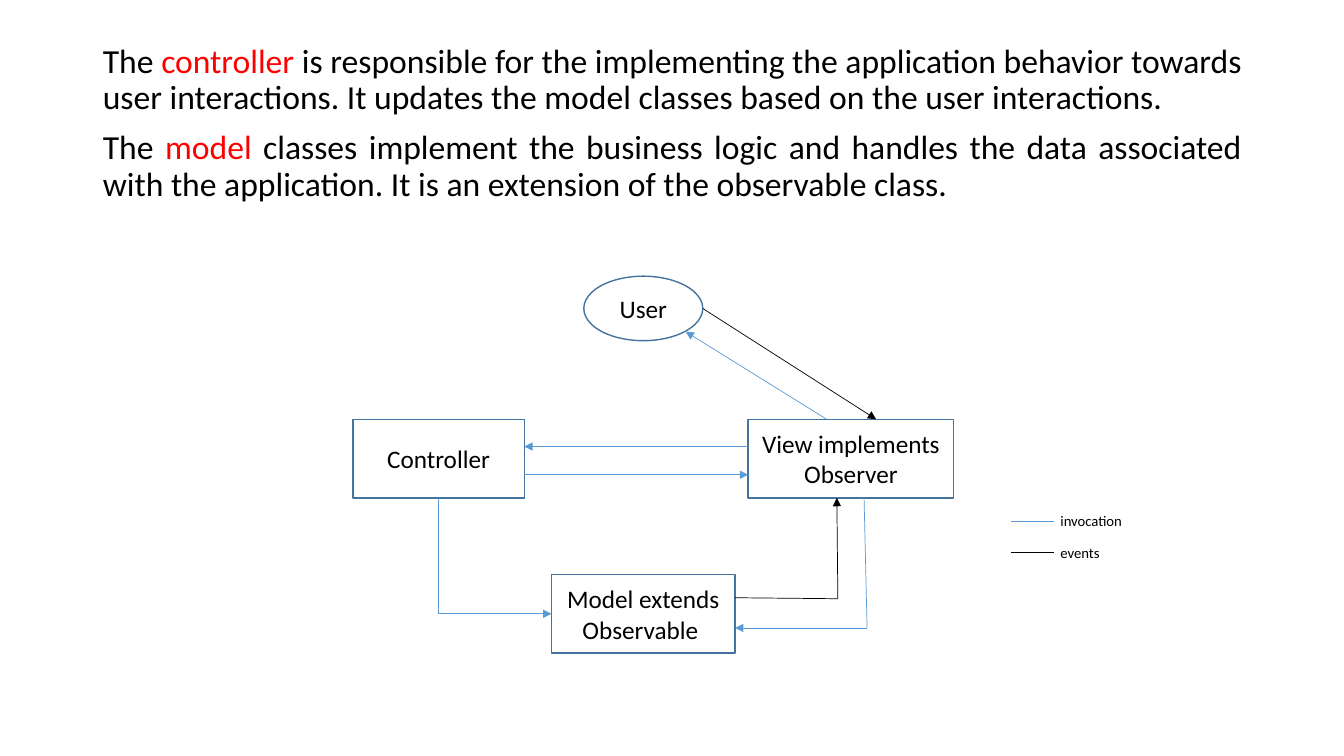
from lxml import etree
from pptx import Presentation
from pptx.dml.color import RGBColor
from pptx.enum.shapes import MSO_CONNECTOR, MSO_SHAPE
from pptx.enum.text import MSO_ANCHOR, MSO_AUTO_SIZE, PP_ALIGN
from pptx.oxml.ns import qn
from pptx.util import Inches, Pt

FONT = "Calibri"
BLACK = RGBColor(0x00, 0x00, 0x00)
RED = RGBColor(0xFF, 0x00, 0x00)
OUTLINE = RGBColor(0x43, 0x73, 0x9E)
INVOCATION = RGBColor(0x5B, 0x9B, 0xD5)
EVENT = BLACK

RECT, ELLIPSE = MSO_SHAPE.RECTANGLE, MSO_SHAPE.OVAL
STRAIGHT = MSO_CONNECTOR.STRAIGHT
MIDDLE, TOP = MSO_ANCHOR.MIDDLE, MSO_ANCHOR.TOP
LEFT, CENTER, JUSTIFY = PP_ALIGN.LEFT, PP_ALIGN.CENTER, PP_ALIGN.JUSTIFY
NO_AUTOFIT = MSO_AUTO_SIZE.NONE

EXPLANATION = [
    [("The ", BLACK), ("controller", RED),
     (" is responsible for the implementing the application behavior towards "
      "user interactions. It updates the model classes based on the user "
      "interactions.", BLACK)],
    [("The ", BLACK), ("model", RED),
     (" classes implement the business logic and handles the data associated "
      "with the application. It is an extension of the observable class.", BLACK)],
]

# Text, preset, left, top, width, height
COMPONENTS = [
    ("Controller", RECT, 3.5, 4.16, 1.7, 0.78),
    ("View implements Observer", RECT, 7.42, 4.16, 2.04, 0.78),
    ("User", ELLIPSE, 5.79, 2.74, 1.18, 0.64),
    ("Model extends\nObservable ", RECT, 5.47, 5.7, 1.82, 0.78),
]

# Colour and corner points; each route ends in an arrowhead
ROUTES = [
    (INVOCATION, [(8.57, 4.93), (8.6, 6.23), (7.29, 6.23)]),  # view to model
    (INVOCATION, [(7.42, 4.43), (5.2, 4.43)]),                # view to controller
    (EVENT, [(7.29, 5.93), (8.31, 5.94), (8.3, 4.94)]),       # model to view
    (INVOCATION, [(4.35, 4.94), (4.35, 6.09), (5.47, 6.09)]), # controller to model
    (EVENT, [(6.97, 3.06), (8.69, 4.16)]),                    # user to view
    (INVOCATION, [(8.2, 4.16), (6.8, 3.29)]),                 # view to user
    (INVOCATION, [(5.2, 4.71), (7.42, 4.71)]),                # controller to view
]

LEGEND = [("invocation", INVOCATION, 5.17), ("events", EVENT, 5.48)]


def write_text(frame, paragraphs, size, align, anchor=MIDDLE, spacing=None, before=None):
    """Fill a frame with paragraphs, each a list of (text, colour) runs."""
    frame.word_wrap = True
    frame.auto_size = NO_AUTOFIT
    frame.vertical_anchor = anchor
    for number, runs in enumerate(paragraphs):
        paragraph = frame.add_paragraph() if number else frame.paragraphs[0]
        paragraph.alignment = align
        paragraph.line_spacing = spacing
        paragraph.space_before = before
        for text, colour in runs:
            run = paragraph.add_run()
            run.text = text
            run.font.name = FONT
            run.font.size = Pt(size)
            run.font.color.rgb = colour


def add_explanation(slide):
    body = slide.placeholders[1]
    body.left, body.top = Inches(0.92), Inches(0.39)
    body.width, body.height = Inches(11.5), Inches(6.9)
    write_text(body.text_frame, EXPLANATION, 24, JUSTIFY, anchor=TOP,
               spacing=0.9, before=Pt(10))
    for paragraph in body.text_frame.paragraphs:
        properties = paragraph._p.get_or_add_pPr()
        properties.set("marL", "0")
        properties.set("indent", "0")
        etree.SubElement(properties, qn("a:buNone"))


def add_component(slide, text, preset, *box):
    component = slide.shapes.add_shape(preset, *map(Inches, box))
    component.shadow.inherit = False
    component.fill.background()
    component.line.color.rgb = OUTLINE
    component.line.width = Pt(1)
    lines = [[(line, BLACK)] for line in text.split("\n")]
    write_text(component.text_frame, lines, 18, CENTER)


def add_line(slide, start, end, colour, arrow=False):
    line = slide.shapes.add_connector(STRAIGHT, *map(Inches, (*start, *end)))
    line.line.color.rgb = colour
    line.line.width = Pt(0.5)
    if arrow:
        etree.SubElement(line.line._get_or_add_ln(), qn("a:tailEnd"), type="triangle")
    etree.SubElement(line._element.spPr, qn("a:effectLst"))


def add_route(slide, colour, points):
    last = len(points) - 2
    for number, (start, end) in enumerate(zip(points, points[1:])):
        add_line(slide, start, end, colour, arrow=number == last)


def add_legend_entry(slide, name, colour, y):
    add_line(slide, (10.03, y), (10.45, y), colour)
    label = slide.shapes.add_textbox(Inches(10.42), Inches(y - 0.15), Inches(1), Inches(0.3))
    write_text(label.text_frame, [[(name, BLACK)]], 10.5, LEFT)


def main():
    deck = Presentation()
    deck.slide_width, deck.slide_height = Inches(13.33), Inches(7.5)
    slide = deck.slides.add_slide(deck.slide_layouts[1])

    # The slide has body text only
    title = slide.shapes.title._element
    title.getparent().remove(title)
    add_explanation(slide)

    # Diagram
    for component in COMPONENTS:
        add_component(slide, *component)
    for route in ROUTES:
        add_route(slide, *route)

    # Legend
    for entry in LEGEND:
        add_legend_entry(slide, *entry)

    deck.save("out.pptx")


if __name__ == "__main__":
    main()
